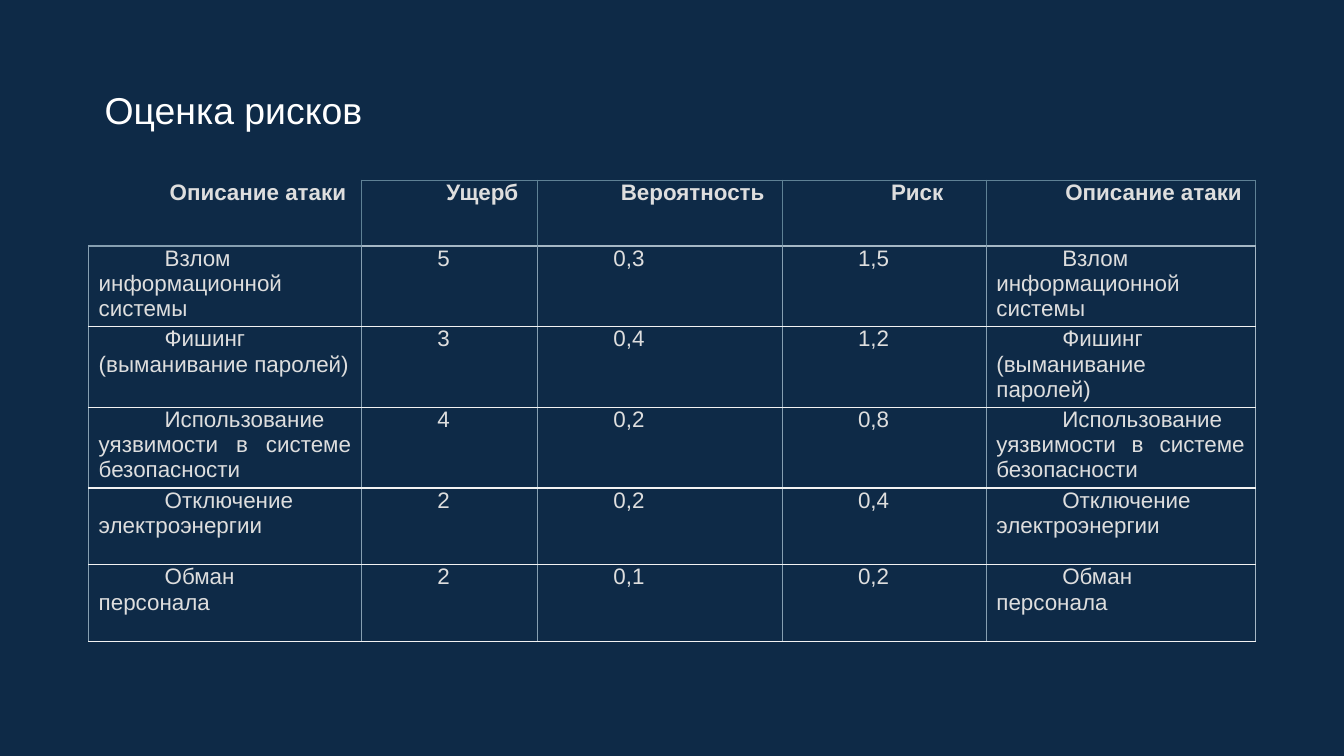
"""Build the risk assessment slide with its table of attacks."""
import lxml.etree
import pptx
import pptx.dml.color
import pptx.enum.text
import pptx.oxml.ns
import pptx.text.text
import pptx.util

TITLE = "Оценка рисков"
HEAD = ("Описание атаки", "Ущерб", "Вероятность", "Риск")
RISKS = [
    ("Взлом информационной системы", "5", "0,3", "1,5"),
    ("Фишинг (выманивание паролей)", "3", "0,4", "1,2"),
    ("Использование уязвимости в системе безопасности", "4", "0,2", "0,8"),
    ("Отключение электроэнергии", "2", "0,2", "0,4"),
    ("Обман персонала", "2", "0,1", "0,2"),
]
THEME = {
    "font": "Arial", "title": 20, "body": 12, "line": 0.75,
    "back": "0E2A47", "white": "FFFFFF", "text": "DEDEDE",
    "dark": "5F8195", "mid": "869FB1", "pale": "A5B7C5", "light": "F2F2F2",
}
SIZE = (10, 10 * 9 / 16)
TITLE_BOX = (0.68, 0.45, 8.68, 0.63)
TABLE_AT = (0.66, 1.34)
COLS = (2.03, 1.31, 1.82, 1.52, 2)
ROWS = (0.49,) + (0.57,) * len(RISKS)
PAD, INDENT, AFTER = 5.4, 0.49, 8

inch = pptx.util.Inches
middle = pptx.enum.text.PP_ALIGN.CENTER
justify = pptx.enum.text.PP_ALIGN.JUSTIFY


def paint(name):
    return pptx.dml.color.RGBColor.from_string(THEME[name])


def style(para, size, color, bold=False):
    tail = pptx.text.text.Font(para._p.get_or_add_endParaRPr())
    for font in (*(run.font for run in para.runs), tail):
        font.name = THEME["font"]
        font.size = pptx.util.Pt(THEME[size])
        font.color.rgb = paint(color)
        font.bold = bold


def sides(row, col):
    """Return the left, right, top and bottom line colours of a cell."""
    under = "pale" if col else "mid"
    if row == 0:
        outer = "dark" if col else None
        return outer, "dark", outer, under
    right = "pale" if col == len(COLS) - 1 else "mid"
    return "mid", right, under if row == 1 else "light", "light"


def border(cell, colors):
    props = cell._tc.get_or_add_tcPr()
    qn = pptx.oxml.ns.qn
    for spot, (side, color) in enumerate(zip("LRTB", colors)):
        line = lxml.etree.Element(qn(f"a:ln{side}"))
        line.set("w", str(pptx.util.Pt(THEME["line"])))
        fill = lxml.etree.SubElement(line, qn("a:solidFill" if color else "a:noFill"))
        if color:
            lxml.etree.SubElement(fill, qn("a:srgbClr")).set("val", THEME[color])
        props.insert(spot, line)


def put(cell, text, row, col):
    cell.fill.background()
    cell.margin_left = cell.margin_right = pptx.util.Pt(PAD)
    cell.margin_top = cell.margin_bottom = 0
    para = cell.text_frame.paragraphs[0]
    para.text = text
    para.alignment = justify if row else middle
    para.space_after = pptx.util.Pt(AFTER)
    para._p.get_or_add_pPr().set("indent", str(inch(INDENT)))
    style(para, "body", "text", row == 0)
    border(cell, sides(row, col))


def main():
    deck = pptx.Presentation()
    deck.slide_width, deck.slide_height = map(inch, SIZE)
    slide = deck.slides.add_slide(deck.slide_layouts[6])
    slide.background.fill.solid()
    slide.background.fill.fore_color.rgb = paint("back")

    frame = slide.shapes.add_textbox(*map(inch, TITLE_BOX)).text_frame
    frame.word_wrap = True
    frame.vertical_anchor = pptx.enum.text.MSO_ANCHOR.BOTTOM
    frame.margin_left = frame.margin_right = inch(0.1)
    frame.margin_top = frame.margin_bottom = inch(0.1)
    frame.text = TITLE
    style(frame.paragraphs[0], "title", "white")

    area = map(inch, (*TABLE_AT, sum(COLS), sum(ROWS)))
    table = slide.shapes.add_table(len(ROWS), len(COLS), *area).table
    table.first_row = table.horz_banding = False
    for col, width in zip(table.columns, COLS):
        col.width = inch(width)
    for line, height in zip(table.rows, ROWS):
        line.height = inch(height)
    for row, texts in enumerate([HEAD, *RISKS]):
        for col, text in enumerate((*texts, texts[0])):
            put(table.cell(row, col), text, row, col)

    deck.save("out.pptx")


if __name__ == "__main__":
    main()
